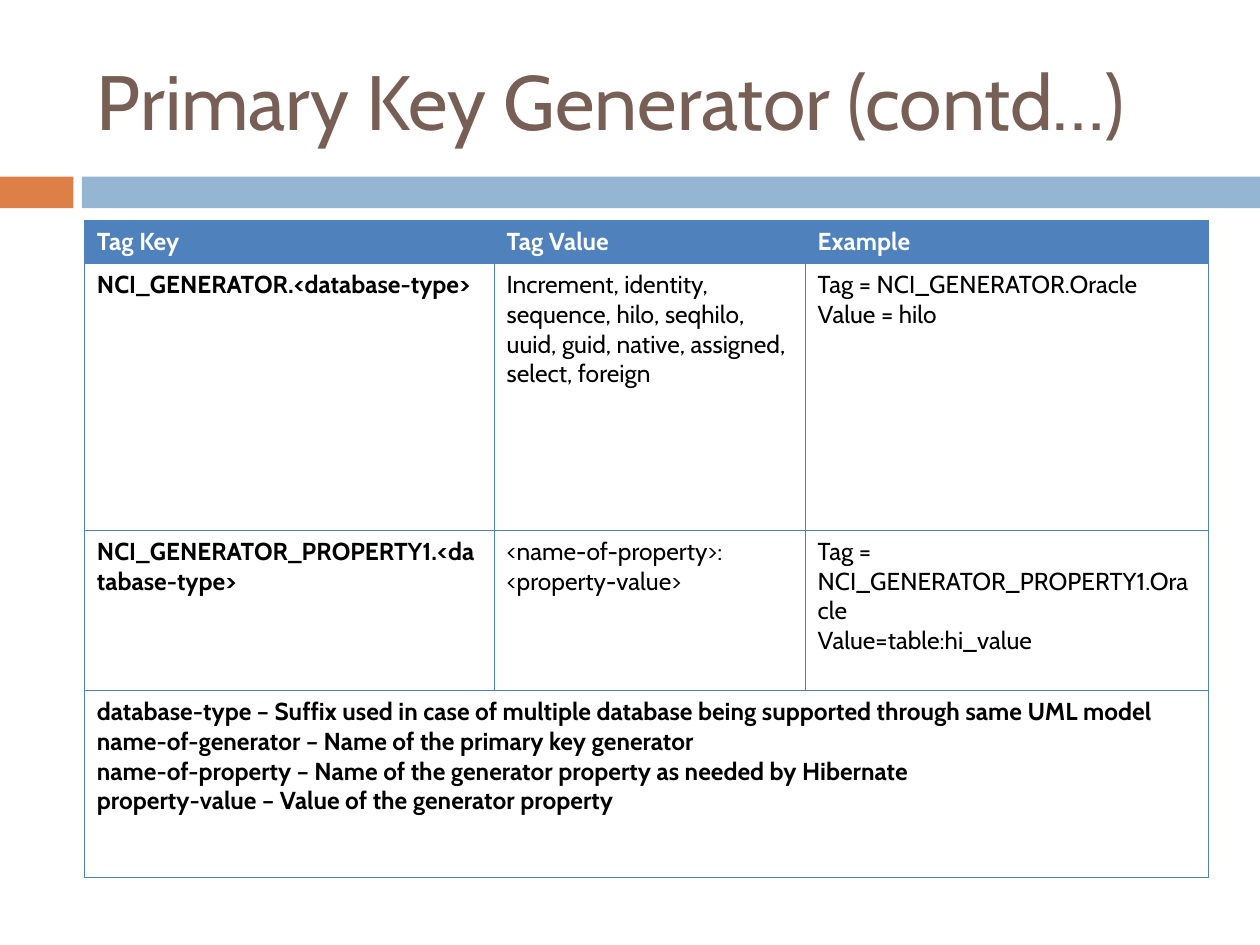
from lxml import etree
from pptx import Presentation
from pptx.dml.color import RGBColor
from pptx.enum.shapes import MSO_SHAPE
from pptx.enum.text import MSO_ANCHOR, MSO_AUTO_SIZE, PP_ALIGN
from pptx.oxml.ns import qn
from pptx.util import Cm, Pt

RECTANGLE = MSO_SHAPE.RECTANGLE
MIDDLE = MSO_ANCHOR.MIDDLE
NO_AUTOFIT = MSO_AUTO_SIZE.NONE
LEFT = PP_ALIGN.LEFT

FONT = "Cabin"
BROWN, ORANGE, PALE_BLUE = "775F55", "DD8047", "94B6D2"
TABLE_BLUE, WHITE, BLACK = "4F81BD", "FFFFFF", "000000"

PAGE_WIDTH, PAGE_HEIGHT = 25.4, 19.05
COLUMN_WIDTHS = [8.26, 6.27, 8.13]
ROW_HEIGHTS = [0.86, 5.38, 3.23, 3.76]
ROWS = [
    ["Tag Key", "Tag Value", "Example"],
    ["NCI_GENERATOR.<database-type>",
     "Increment, identity, sequence, hilo, seqhilo, uuid, guid, native, "
     "assigned, select, foreign",
     "Tag = NCI_GENERATOR.Oracle\nValue = hilo"],
    ["NCI_GENERATOR_PROPERTY1.<database-type>",
     "<name-of-property>: <property-value>",
     "Tag = NCI_GENERATOR_PROPERTY1.Oracle\nValue=table:hi_value"],
    ["database-type – Suffix used in case of multiple database being "
     "supported through same UML model\n"
     "name-of-generator – Name of the primary key generator\n"
     "name-of-property – Name of the generator property as needed by Hibernate\n"
     "property-value – Value of the generator property"],
]


def rgb(colour):
    return RGBColor.from_string(colour)


def format_text(frame, size, colour, bold=False):
    for para in frame.paragraphs:
        para.alignment = LEFT
        for span in para.runs:
            font = span.font
            font.name, font.size, font.bold = FONT, Pt(size), bold
            font.color.rgb = rgb(colour)


def add_title(page, text, left, top, width, height):
    title = page.shapes.title
    title.left, title.top = Cm(left), Cm(top)
    title.width, title.height = Cm(width), Cm(height)
    frame = title.text_frame
    frame.text = text
    frame.auto_size = NO_AUTOFIT
    frame.vertical_anchor = MIDDLE
    format_text(frame, 44, BROWN)


def add_band(page, top, height, accent_width=1.48, gap=0.17):
    """Draw a short accent block and a long bar reaching the right edge."""
    bar_left = accent_width + gap
    for left, width, colour in [(0, accent_width, ORANGE),
                                (bar_left, PAGE_WIDTH - bar_left, PALE_BLUE)]:
        bar = page.shapes.add_shape(RECTANGLE, Cm(left), Cm(top), Cm(width), Cm(height))
        bar.shadow.inherit = False
        bar.fill.solid()
        bar.fill.fore_color.rgb = rgb(colour)
        bar.line.fill.background()


def set_borders(cell, colour, width):
    """Put the four border lines ahead of the cell's fill, as the schema asks."""
    properties = cell._tc.get_or_add_tcPr()
    for position, side in enumerate(["lnL", "lnR", "lnT", "lnB"]):
        line = etree.Element(qn(f"a:{side}"), w=str(Pt(width)))
        fill = etree.SubElement(line, qn("a:solidFill"))
        etree.SubElement(fill, qn("a:srgbClr"), val=colour)
        properties.insert(position, line)


def add_tag_table(page, left, top):
    frame = page.shapes.add_table(
        len(ROWS), len(COLUMN_WIDTHS), Cm(left), Cm(top),
        Cm(sum(COLUMN_WIDTHS)), Cm(sum(ROW_HEIGHTS)))
    table = frame.table
    table.first_row = table.horz_banding = False
    for column, width in zip(table.columns, COLUMN_WIDTHS):
        column.width = Cm(width)
    for row, height in zip(table.rows, ROW_HEIGHTS):
        row.height = Cm(height)

    for cell in table.iter_cells():
        cell.fill.background()
        set_borders(cell, TABLE_BLUE, 0.45)
    last_row = len(ROWS) - 1
    table.cell(last_row, 0).merge(table.cell(last_row, len(COLUMN_WIDTHS) - 1))

    for row_index, texts in enumerate(ROWS):
        is_header = row_index == 0
        for column_index, text in enumerate(texts):
            cell = table.cell(row_index, column_index)
            cell.text_frame.text = text
            if is_header:
                cell.fill.solid()
                cell.fill.fore_color.rgb = rgb(TABLE_BLUE)
            format_text(cell.text_frame, 14, WHITE if is_header else BLACK,
                        bold=is_header or column_index == 0)


def main():
    deck = Presentation()
    deck.slide_width, deck.slide_height = Cm(PAGE_WIDTH), Cm(PAGE_HEIGHT)
    page = deck.slides.add_slide(deck.slide_layouts.get_by_name("Title Only"))
    add_band(page, 3.56, 0.64)
    add_title(page, "Primary Key Generator (contd…)", 1.7, 0.64, 22.66, 2.74)
    add_tag_table(page, 1.7, 4.45)
    deck.save("out.pptx")


if __name__ == "__main__":
    main()
